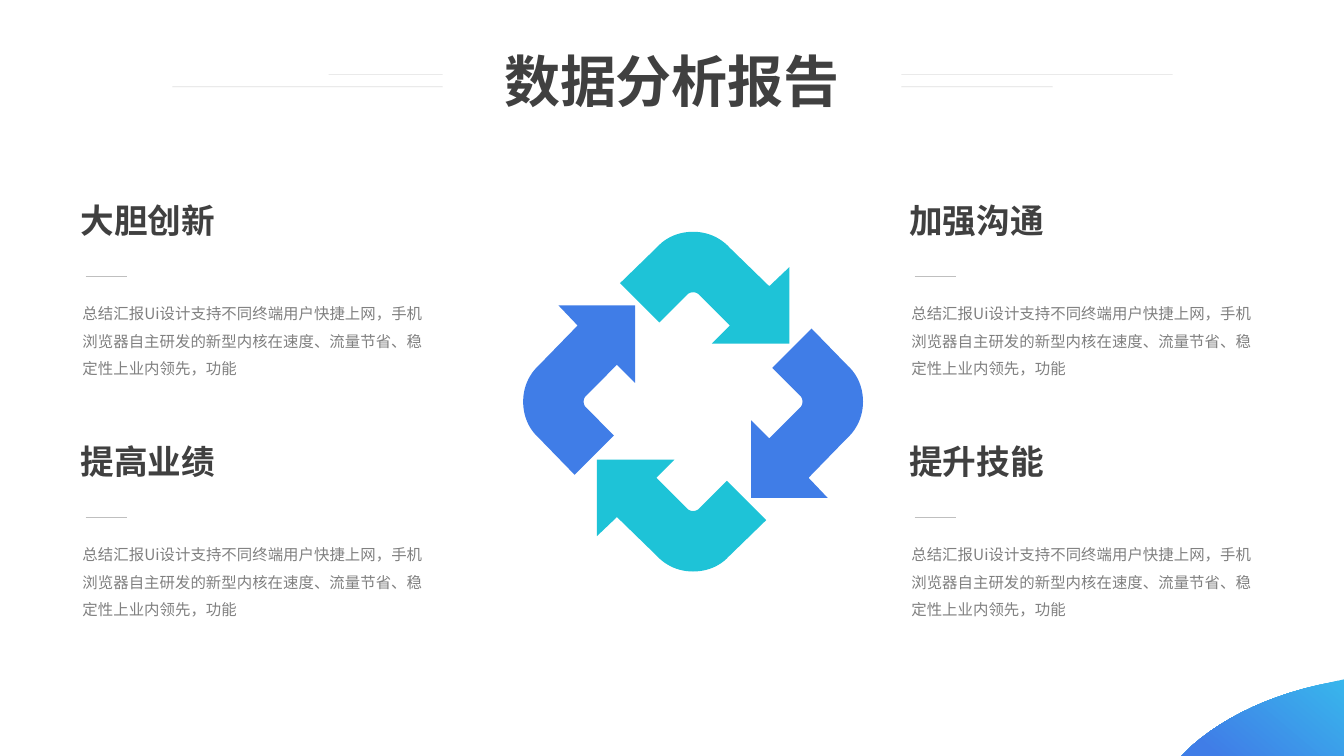
import pptx
import pptx.util
import pptx.dml.color
import pptx.enum.shapes
import pptx.enum.text
import pptx.oxml
import pptx.oxml.ns

RGB = pptx.dml.color.RGBColor
DARK = RGB(0x40, 0x40, 0x40)
GRAY = RGB(0x80, 0x80, 0x80)
PALE = RGB(0xBF, 0xBF, 0xBF)
TEAL = RGB(0x1E, 0xC3, 0xD7)
BLUE = RGB(0x40, 0x7D, 0xE7)
SKY = RGB(0x38, 0xB6, 0xEC)
FONT = "Noto Sans CJK SC"
WIDE = pptx.util.Inches(13.33)
HIGH = pptx.util.Inches(7.5)
BODY = "总结汇报Ui设计支持不同终端用户快捷上网，手机浏览器自主研发的新型内核在速度、流量节省、稳定性上业内领先，功能"
HEADS = [["大胆创新", "加强沟通"], ["提高业绩", "提升技能"]]
COL, ROW = 61.67, 31.87
HUB = (51.57, 53.13)
ARROW = [
    [(-9.67, -15.67)], [(-4.47, -10.47)], [(-0.73, -14.2)],
    [(-0.6, -14.33), (-0.33, -14.47), (0, -14.47)],
    [(0.33, -14.47), (0.6, -14.33), (0.73, -14.2)],
    [(4.87, -10.07)], [(2.47, -7.67)], [(12.73, -7.67)],
    [(12.73, -17.8)], [(10.07, -15.27)], [(4.87, -20.33)],
    [(3.53, -21.8), (1.8, -22.47), (0, -22.47)],
    [(-1.8, -22.47), (-3.53, -21.8), (-4.73, -20.47)],
]
WAVE = [
    [(100, 89.87)], [(100, 100)], [(87.92, 100)], [(88.67, 98.67)],
    [(91.22, 94.67), (94.82, 91.73), (99.02, 90.27)],
]


def across(share):
    return round(WIDE * share / 100)


def down(share):
    return round(HIGH * share / 100)


def trace(steps, count=12):
    points = []
    for step in steps:
        if len(step) == 1:
            points.append(step[0])
            continue
        knots = [points[-1], *step]
        for i in range(1, count + 1):
            t = i / count
            mix = [(1 - t) ** 3, 3 * t * (1 - t) ** 2, 3 * t * t * (1 - t), t ** 3]
            points.append(tuple(sum(m * k[axis] for m, k in zip(mix, knots)) for axis in (0, 1)))
    return points


def shape(slide, points):
    pen = slide.shapes.build_freeform(*points[0], scale=1.0)
    pen.add_line_segments(points[1:], close=True)
    form = pen.convert_to_shape()
    form.shadow.inherit = False
    form.line.fill.background()
    return form


def wave(slide):
    form = shape(slide, [(across(x), down(y)) for x, y in trace(WAVE)])
    form.fill.gradient()
    form.fill.gradient_angle = 230
    for stop, color, share in zip(form.fill.gradient_stops, (SKY, BLUE), (0, 0.87)):
        stop.color.rgb = color
        stop.position = share


def arrow(slide, turn):
    points = trace(ARROW)
    for _ in range(turn):
        points = [(-y, x) for x, y in points]
    form = shape(slide, [(across(HUB[0]) + down(x), down(HUB[1] + y)) for x, y in points])
    form.fill.solid()
    form.fill.fore_color.rgb = (TEAL, BLUE)[turn % 2]


def rule(slide, left, right, top, weight, alpha=100):
    line = slide.shapes.add_connector(
        pptx.enum.shapes.MSO_CONNECTOR.STRAIGHT, across(left), down(top), across(right), down(top))
    line.line.color.rgb = PALE
    line.line.width = pptx.util.Pt(weight)
    props = line._element.spPr
    if alpha < 100:
        tint = props.find(".//" + pptx.oxml.ns.qn("a:srgbClr"))
        tint.append(pptx.oxml.parse_xml(
            f'<a:alpha {pptx.oxml.ns.nsdecls("a")} val="{alpha * 1000}"/>'))
    props.append(pptx.oxml.parse_xml(f'<a:effectLst {pptx.oxml.ns.nsdecls("a")}/>'))


def write(box, text, size, color, bold=False, wrap=True):
    frame = box.text_frame
    frame.word_wrap = wrap
    frame.auto_size = pptx.enum.text.MSO_AUTO_SIZE.NONE
    frame.vertical_anchor = pptx.enum.text.MSO_ANCHOR.TOP
    para = frame.paragraphs[0]
    run = para.add_run()
    run.text = text
    run.font.name = FONT
    run.font.size = pptx.util.Pt(size)
    run.font.bold = bold
    run.font.color.rgb = color
    run._r.get_or_add_rPr().find(pptx.oxml.ns.qn("a:latin")).addnext(pptx.oxml.parse_xml(
        f'<a:ea {pptx.oxml.ns.nsdecls("a")} typeface="{FONT}"/>'))
    return para


def place(left, top, width, height):
    return across(left), down(top), across(width), down(height)


def title(slide, text):
    box = slide.shapes.title
    box.left, box.top, box.width, box.height = place(35.93, 5.5, 28.13, 10.27)
    para = write(box, text, 40, DARK, True)
    para.alignment = pptx.enum.text.PP_ALIGN.CENTER


def block(slide, head, col, row):
    x, y = col * COL, row * ROW
    add = slide.shapes.add_textbox
    write(add(*place(5.25 + x, 25.73 + y, 11.63, 6.67)), head, 24, DARK, True, False)
    rule(slide, 6.38 + x, 9.46 + x, 36.6 + y, 1)
    para = write(add(*place(5.4 + x, 38.33 + y, 27.31, 12)), BODY, 11, GRAY)
    para.line_spacing = 1.5


def main():
    deck = pptx.Presentation()
    deck.slide_width, deck.slide_height = WIDE, HIGH
    slide = deck.slides.add_slide(deck.slide_layouts[5])
    wave(slide)
    for turn in range(4):
        arrow(slide, turn)
    for row, heads in enumerate(HEADS):
        for col, head in enumerate(heads):
            block(slide, head, col, row)
    title(slide, "数据分析报告")
    for left, right, top in [(24.46, 32.93, 9.87), (12.83, 32.93, 11.47),
                             (67.07, 87.25, 9.87), (67.07, 78.32, 11.47)]:
        rule(slide, left, right, top, 0.5, 50)
    deck.save("out.pptx")


if __name__ == "__main__":
    main()
